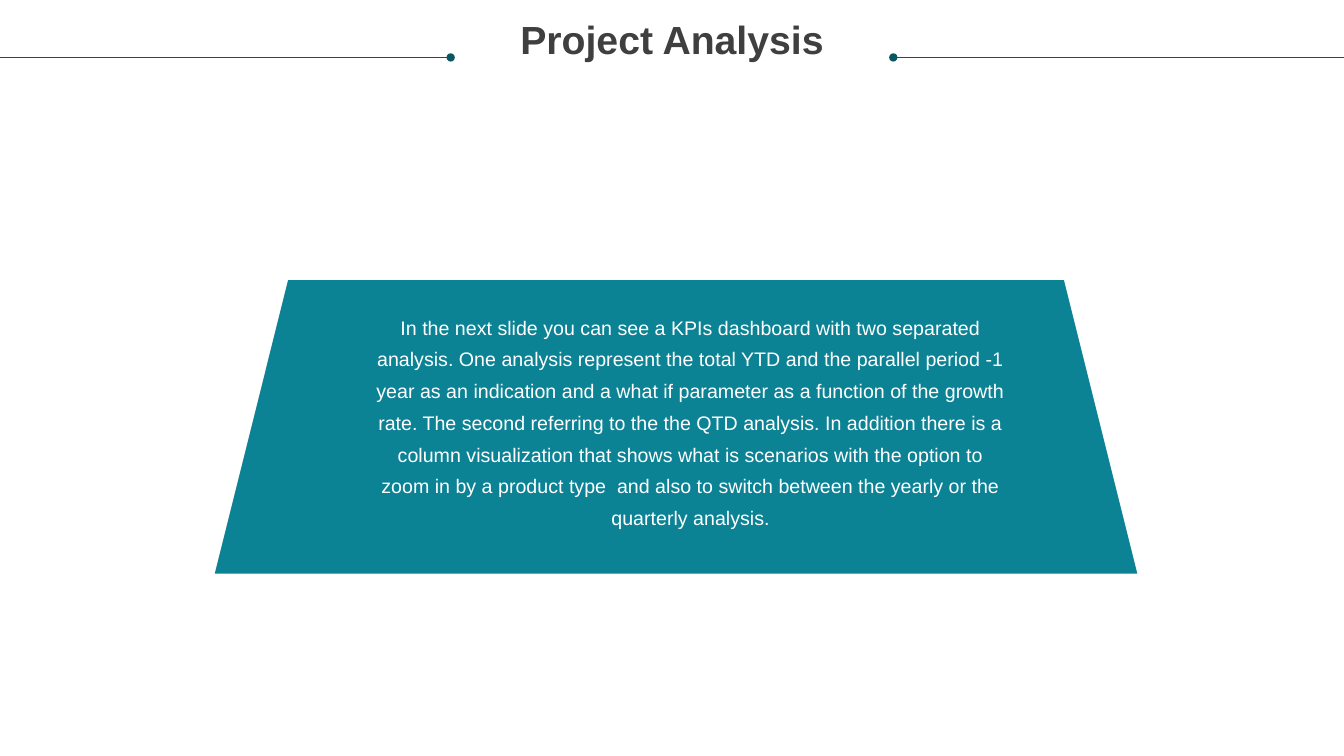
import pptx
import pptx.dml.color
import pptx.enum.shapes
import pptx.enum.text
import pptx.oxml.ns
import pptx.util
from lxml import etree

WHITE = pptx.dml.color.RGBColor(0xFF, 0xFF, 0xFF)
CHARCOAL = pptx.dml.color.RGBColor(0x3F, 0x3F, 0x3F)
TEAL = pptx.dml.color.RGBColor(0x0C, 0x82, 0x95)
DARK_TEAL = pptx.dml.color.RGBColor(0x08, 0x57, 0x63)

Inches = pptx.util.Inches
SLIDE_WIDTH, SLIDE_HEIGHT = 13.33, 7.5
RULE_LENGTH, RULE_TOP = 4.47, 0.57

SUMMARY = (
    "In the next slide you can see a KPIs dashboard with two separated analysis. "
    "One analysis represent the total YTD and the parallel period -1 year as an "
    "indication and a what if parameter as a function of the growth rate. "
    "The second referring to the the QTD analysis. In addition there is a column "
    "visualization that shows what is scenarios with the option to zoom in by a "
    "product type  and also to switch between the yearly or the quarterly analysis."
)

presentation = pptx.Presentation()
presentation.slide_width = Inches(SLIDE_WIDTH)
presentation.slide_height = Inches(SLIDE_HEIGHT)
slide = presentation.slides.add_slide(presentation.slide_layouts[6])


def add_centred_text(left, top, width, height, text, size, color, bold, line_spacing):
    box = slide.shapes.add_textbox(
        Inches(left), Inches(top), Inches(width), Inches(height))
    frame = box.text_frame
    frame.word_wrap = True
    frame.margin_left = frame.margin_right = 0
    frame.margin_top = frame.margin_bottom = 0
    paragraph = frame.paragraphs[0]
    paragraph.alignment = pptx.enum.text.PP_ALIGN.CENTER
    paragraph.line_spacing = line_spacing
    run = paragraph.add_run()
    run.text = text
    run.font.name = "Arial"
    run.font.size = pptx.util.Pt(size)
    run.font.bold = bold
    run.font.color.rgb = color


# Rules run from each slide edge to a dot beside the title
for edge, dot in ((0, RULE_LENGTH), (SLIDE_WIDTH, SLIDE_WIDTH - RULE_LENGTH)):
    rule = slide.shapes.add_connector(
        pptx.enum.shapes.MSO_CONNECTOR.STRAIGHT,
        Inches(edge), Inches(RULE_TOP), Inches(dot), Inches(RULE_TOP))
    rule.line.color.rgb = DARK_TEAL
    rule.line.width = pptx.util.Pt(0.75)
    etree.SubElement(rule.line._get_or_add_ln(),
                     pptx.oxml.ns.qn("a:tailEnd"), type="oval")
    etree.SubElement(rule._element.spPr, pptx.oxml.ns.qn("a:effectLst"))

add_centred_text(0.25, 0.2, SLIDE_WIDTH - 2 * 0.25, 0.85,
                 "Project Analysis", 28, CHARCOAL, True, 0.9)

panel = slide.shapes.add_shape(
    pptx.enum.shapes.MSO_SHAPE.TRAPEZOID,
    Inches(2.13), Inches(2.78), Inches(9.15), Inches(2.91))
panel.adjustments[0] = 0.25
panel.shadow.inherit = False
panel.fill.solid()
panel.fill.fore_color.rgb = TEAL
panel.line.fill.background()

add_centred_text(3.72, 3.05, 6.26, 2.4, SUMMARY, 14, WHITE, False, 1.35)

presentation.save("out.pptx")
